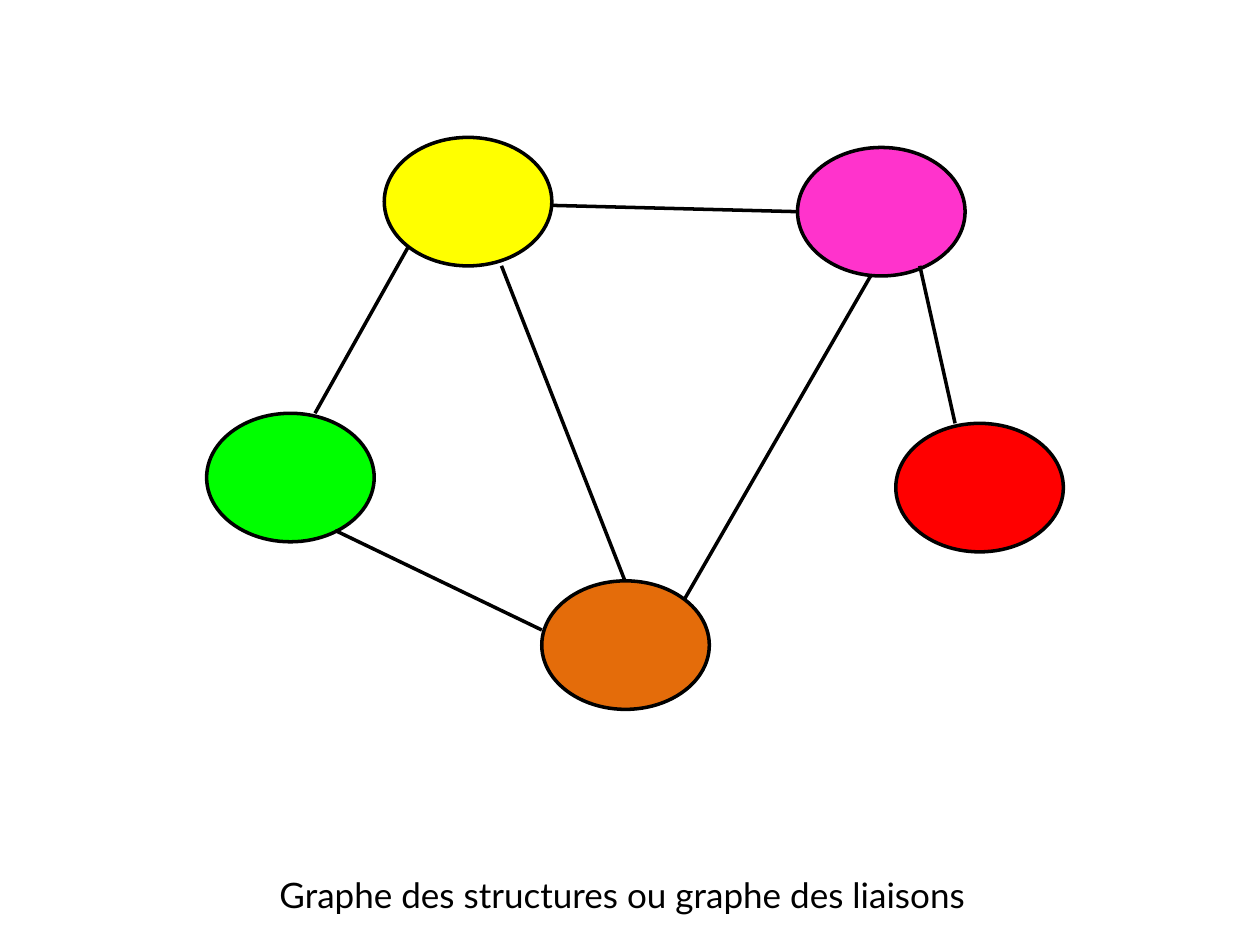
from pptx import Presentation
from pptx.dml.color import RGBColor
from pptx.enum.shapes import MSO_CONNECTOR, MSO_SHAPE
from pptx.enum.text import MSO_AUTO_SIZE, PP_ALIGN
from pptx.oxml.ns import qn
from pptx.util import Inches, Pt
from lxml.etree import SubElement

# Content
CAPTION = "Graphe des structures ou graphe des liaisons"
COLORS = {
    "yellow": "FFFF00",
    "pink": "FF33CC",
    "red": "FF0000",
    "green": "00FF00",
    "orange": "E46C0A",
    "ink": "000000",
}
NODE_SIZE = (1.33, 1.02)
NODES = {  # left, top in inches
    "yellow": (3.05, 1.09),
    "pink": (6.33, 1.17),
    "red": (7.11, 3.36),
    "green": (1.64, 3.28),
    "orange": (4.3, 4.61),
}
LINKS = [  # each end: node and offset from its top left corner
    (("green", 0.86, 0), ("yellow", 0.19, 0.87)),
    (("yellow", 1.33, 0.54), ("pink", 0, 0.51)),
    (("green", 1.02, 0.93), ("orange", 0, 0.39)),
    (("orange", 0.66, 0), ("yellow", 0.93, 1.02)),
    (("orange", 1.13, 0.15), ("pink", 0.58, 1.02)),
    (("red", 0.47, 0), ("pink", 0.97, 0.94)),
]


def color(name):
    return RGBColor.from_string(COLORS[name])


def draw_outline(line):
    line.color.rgb = color("ink")
    line.width = Pt(2)


def end_point(node, dx, dy):
    left, top = NODES[node]
    return Inches(left + dx), Inches(top + dy)


def main():
    prs = Presentation()
    prs.slide_width, prs.slide_height = Inches(10), Inches(7.5)
    slide = prs.slides.add_slide(prs.slide_layouts[6])

    # Caption
    caption = slide.shapes.add_textbox(
        Inches(1.87), Inches(6.88), Inches(6.14), Inches(0.44))
    frame = caption.text_frame
    frame.text = CAPTION
    frame.word_wrap = False
    frame.auto_size = MSO_AUTO_SIZE.SHAPE_TO_FIT_TEXT
    paragraph = frame.paragraphs[0]
    paragraph.alignment = PP_ALIGN.CENTER
    font = paragraph.runs[0].font
    font.name, font.size = "Lato", Pt(20)
    font.color.rgb = color("ink")

    # Nodes
    for name, corner in NODES.items():
        node = slide.shapes.add_shape(
            MSO_SHAPE.OVAL, *map(Inches, corner + NODE_SIZE))
        node.shadow.inherit = False
        node.fill.solid()
        node.fill.fore_color.rgb = color(name)
        draw_outline(node.line)

    # Links
    for start, end in LINKS:
        link = slide.shapes.add_connector(
            MSO_CONNECTOR.STRAIGHT, *end_point(*start), *end_point(*end))
        draw_outline(link.line)
        SubElement(link._element.spPr, qn("a:effectLst"))

    prs.save("out.pptx")


if __name__ == "__main__":
    main()
